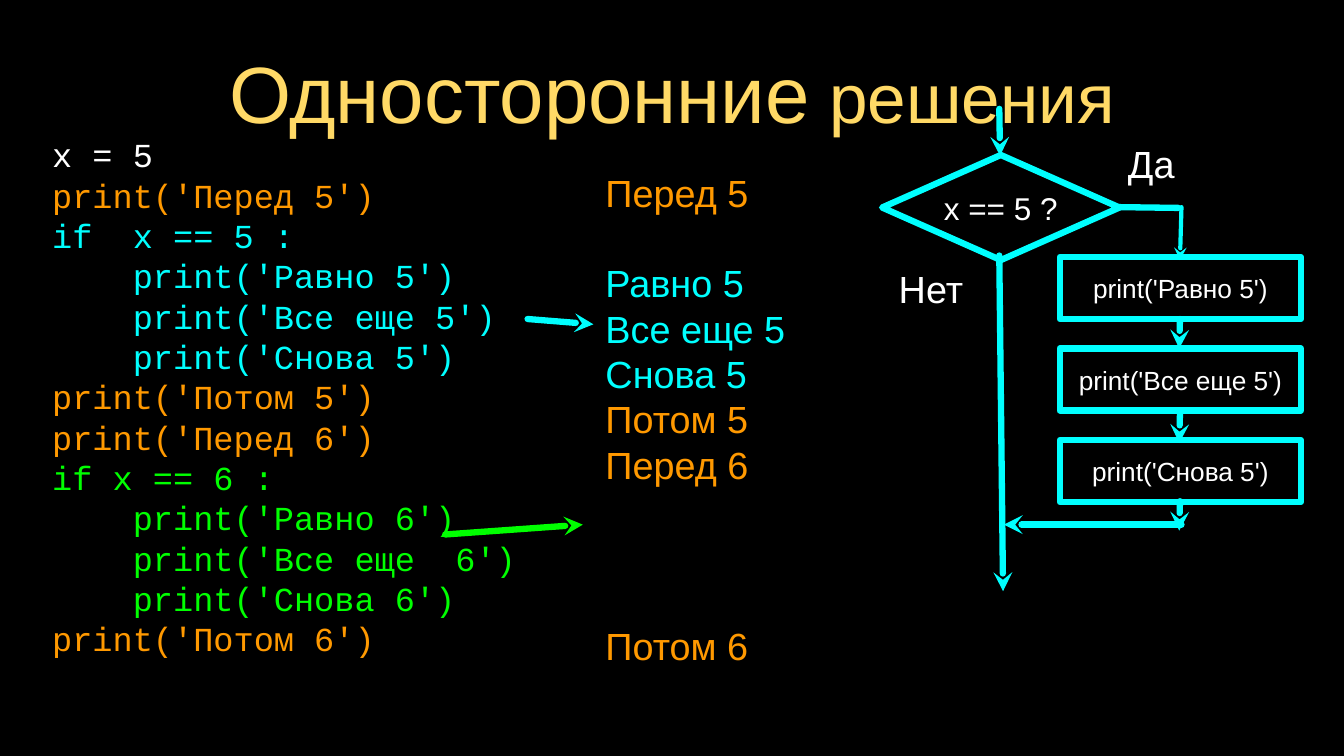
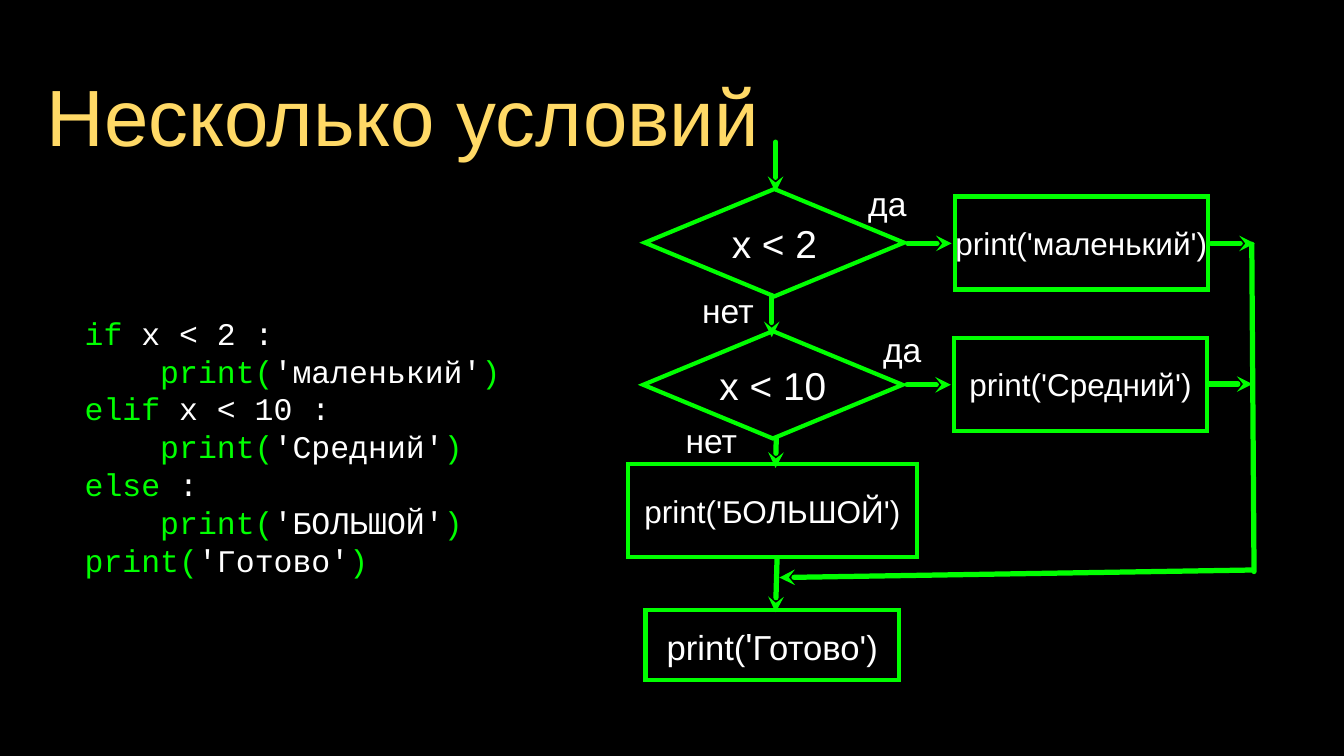
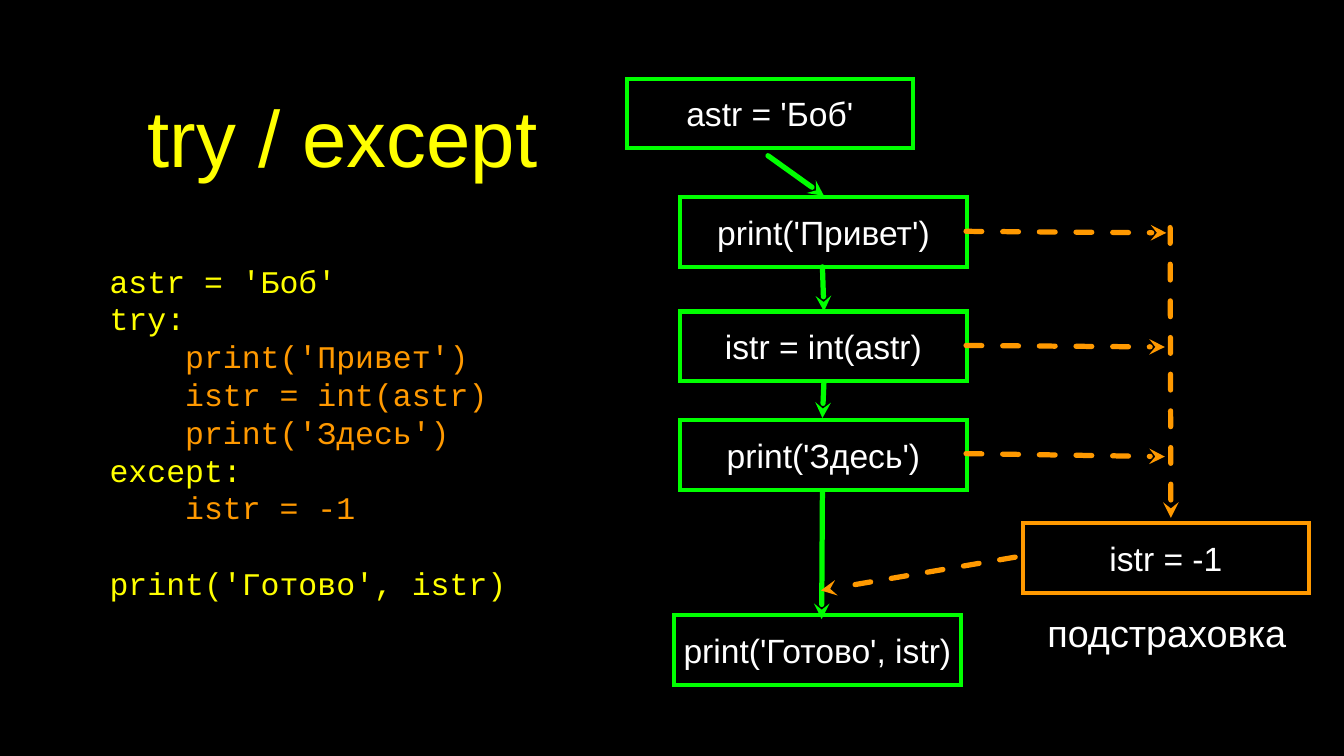
from dataclasses import dataclass
from typing import NamedTuple, Optional, Union

from lxml import etree
from pptx import Presentation
from pptx import util as u
from pptx.dml.color import RGBColor
from pptx.enum import dml, shapes, text
from pptx.oxml.ns import qn

BLACK = RGBColor(0x00, 0x00, 0x00)
WHITE = RGBColor(0xFF, 0xFF, 0xFF)
GOLD = RGBColor(0xFF, 0xD9, 0x66)
YELLOW = RGBColor(0xFF, 0xFF, 0x00)
ORANGE = RGBColor(0xFF, 0x99, 0x00)
CYAN = RGBColor(0x00, 0xFF, 0xFF)
GREEN = RGBColor(0x00, 0xFF, 0x00)

SANS, MONO = "Arial", "Courier New"
TITLE_SIZE = 76
LEADING = 1.2
RECT = shapes.MSO_SHAPE.RECTANGLE
DIAMOND = shapes.MSO_SHAPE.DIAMOND


class Area(NamedTuple):
    """Left, top, width and height in inches."""
    left: float
    top: float
    width: float
    height: float


class Run(NamedTuple):
    text: str
    color: Optional[RGBColor] = None
    size: Optional[float] = None


@dataclass(frozen=True)
class Row:
    """A paragraph; gap is the number of empty lines above it."""
    content: Union[str, tuple[Run, ...]]
    color: RGBColor = WHITE
    gap: int = 0


@dataclass(frozen=True)
class Step:
    """A block of a flowchart."""
    area: Area
    row: Row
    size: float
    outline: RGBColor
    weight: float = 4
    form: shapes.MSO_SHAPE = RECT
    join: str = "miter"


@dataclass(frozen=True)
class Label:
    area: Area
    caption: str
    size: float = 36


@dataclass(frozen=True)
class Link:
    """A line of a flowchart; the arrowhead is at the end."""
    start: tuple[float, float]
    end: tuple[float, float]
    color: RGBColor
    weight: float = 5
    arrow: bool = True
    dashed: bool = False


def inches(value: float) -> u.Length:
    return u.Cm(value * 2.54)


def place(shape, area: Area) -> None:
    shape.left, shape.top, shape.width, shape.height = map(inches, area)


def write(frame, rows: list[Row], font: str, size: float,
          align=text.PP_ALIGN.LEFT, leading: Optional[float] = None,
          inset: float = 0, wrap: bool = True) -> None:
    frame.word_wrap = wrap
    frame.vertical_anchor = text.MSO_ANCHOR.MIDDLE
    frame.margin_left = frame.margin_right = inches(inset)
    frame.margin_top = frame.margin_bottom = inches(inset)
    for index, row in enumerate(rows):
        paragraph = frame.paragraphs[0] if index == 0 else frame.add_paragraph()
        paragraph.alignment = align
        paragraph.font.name, paragraph.font.size = font, u.Pt(size)
        paragraph.font.color.rgb = row.color
        if leading:
            paragraph.line_spacing = u.Pt(size * leading)
            paragraph.space_before = u.Pt(size * leading * row.gap)
        parts = (Run(row.content),) if isinstance(row.content, str) else row.content
        for part in parts:
            run = paragraph.add_run()
            run.text = part.text
            if part.color is not None:
                run.font.color.rgb = part.color
            if part.size:
                run.font.size = u.Pt(part.size)


def add_titled_slide(deck, area: Area, title: Row):
    slide = deck.slides.add_slide(deck.slide_layouts[5])
    place(slide.shapes.title, area)
    write(slide.shapes.title.text_frame, [title], SANS, TITLE_SIZE,
          text.PP_ALIGN.CENTER, inset=0.04)
    return slide


def add_listing(slide, area: Area, rows: list[Row], size: float, font: str = MONO) -> None:
    listing = slide.shapes.add_textbox(*map(inches, area))
    write(listing.text_frame, rows, font, size, leading=LEADING)


def add_step(slide, step: Step) -> None:
    block = slide.shapes.add_shape(step.form, *map(inches, step.area))
    block.shadow.inherit = False
    block.fill.background()
    block.line.color.rgb = step.outline
    block.line.width = u.Pt(step.weight)
    join = etree.SubElement(block.line._get_or_add_ln(), qn(f"a:{step.join}"))
    if step.join == "miter":
        join.set("lim", "800000")
    write(block.text_frame, [step.row], SANS, step.size, text.PP_ALIGN.CENTER, wrap=False)


def add_label(slide, label: Label) -> None:
    box = slide.shapes.add_textbox(*map(inches, label.area))
    write(box.text_frame, [Row(label.caption)], SANS, label.size, text.PP_ALIGN.CENTER)


def add_link(slide, link: Link) -> None:
    connector = slide.shapes.add_connector(
        shapes.MSO_CONNECTOR.STRAIGHT, *map(inches, link.start + link.end))
    connector.line.color.rgb = link.color
    connector.line.width = u.Pt(link.weight)
    if link.dashed:
        connector.line.dash_style = dml.MSO_LINE.DASH
    ln = connector.line._get_or_add_ln()
    ln.set("cap", "rnd")
    etree.SubElement(ln, qn("a:round"))
    if link.arrow:
        etree.SubElement(ln, qn("a:tailEnd"), type="stealth")
    etree.SubElement(connector._element.spPr, qn("a:effectLst"))


def add_flowchart(slide, steps: list[Step], links: list[Link], labels: list[Label]) -> None:
    for step in steps:
        add_step(slide, step)
    for link in links:
        add_link(slide, link)
    for label in labels:
        add_label(slide, label)


def one_way_decisions(deck) -> None:
    slide = add_titled_slide(deck, Area(2.6, 0.62, 12.58, 1.17), Row(
        (Run("Односторонние"), Run(" решения", size=66)), GOLD))
    add_listing(slide, Area(0.69, 1.69, 6.25, 7.11), [
        Row("x = 5"),
        Row("print('Перед 5')", ORANGE),
        Row("if  x == 5 :", CYAN),
        Row("    print('Равно 5')", CYAN),
        Row("    print('Все еще 5')", CYAN),
        Row("    print('Снова 5')", CYAN),
        Row("print('Потом 5')", ORANGE),
        Row("print('Перед 6')", ORANGE),
        Row("if x == 6 :", GREEN),
        Row("    print('Равно 6')", GREEN),
        Row("    print('Все еще  6')", GREEN),
        Row("    print('Снова 6')", GREEN),
        Row("print('Потом 6')", ORANGE),
    ], 32)
    add_listing(slide, Area(8.01, 2.28, 3.09, 6.52), [
        Row("Перед 5", ORANGE),
        Row("Равно 5", CYAN, gap=1),
        Row("Все еще 5", CYAN),
        Row("Снова 5", CYAN),
        Row("Потом 5", ORANGE),
        Row("Перед 6", ORANGE),
        Row("Потом 6", ORANGE, gap=3),
    ], 36, SANS)

    steps = [Step(Area(11.67, 2.05, 3.14, 1.39), Row("x == 5 ?"), 30, CYAN, 6,
                  DIAMOND, "round")]
    for index, word in enumerate(("Равно", "Все еще", "Снова")):
        steps.append(Step(Area(14.02, 3.4 + 1.21 * index, 3.19, 0.82),
                          Row(f"print('{word} 5')"), 25, CYAN, 6, join="round"))
    links = [
        Link((6.98, 4.22), (7.85, 4.29), CYAN, 6),
        Link((5.89, 7.07), (7.71, 6.94), GREEN, 6),
        Link((13.22, 1.44), (13.23, 2.06), CYAN, 6),
        Link((13.22, 3.38), (13.27, 7.82), CYAN, 6),
        Link((14.8, 2.74), (15.59, 2.75), CYAN, 6, arrow=False),
        Link((15.63, 2.74), (15.61, 3.44), CYAN, 4),
        Link((15.63, 6.94), (13.28, 6.94), CYAN, 6),
    ]
    links += [Link((15.61, top), (15.6, top + 0.39), CYAN, 6) for top in (4.22, 5.47, 6.63)]
    add_flowchart(slide, steps, links, [
        Label(Area(14.62, 1.82, 1.22, 0.68), "Да"),
        Label(Area(11.82, 3.47, 0.99, 0.68), "Нет"),
    ])


def print_row(word: str) -> Row:
    """An indented print call with its argument in white."""
    return Row((Run("    print("), Run(f"'{word}'", WHITE), Run(")")), GREEN)


def multiway_decisions(deck) -> None:
    slide = add_titled_slide(deck, Area(0.45, 0.54, 9.76, 1.96),
                             Row("Несколько условий", GOLD))
    add_listing(slide, Area(1.12, 3.46, 5.58, 4.88), [
        Row((Run("if "), Run("x < 2 :", WHITE)), GREEN),
        print_row("маленький"),
        Row((Run("elif"), Run(" x < 10 :", WHITE)), GREEN),
        print_row("Средний"),
        Row((Run("else"), Run(" :", WHITE)), GREEN),
        print_row("БОЛЬШОЙ"),
        Row((Run("print("), Run("'Готово'", WHITE), Run(")")), GREEN),
    ], 30)

    ready = Row((Run("print("), Run("'", size=36), Run("Готово')")))
    add_flowchart(slide, [
        Step(Area(8.53, 2.5, 3.43, 1.42), Row("x < 2"), 37, GREEN, form=DIAMOND),
        Step(Area(8.51, 4.38, 3.43, 1.42), Row("x < 10"), 37, GREEN, form=DIAMOND),
        Step(Area(12.63, 2.6, 3.35, 1.23), Row("print('маленький')"), 30, GREEN),
        Step(Area(12.62, 4.47, 3.35, 1.23), Row("print('Средний')"), 30, GREEN),
        Step(Area(8.31, 6.14, 3.82, 1.23), Row("print('БОЛЬШОЙ')"), 30, GREEN),
        Step(Area(8.54, 8.07, 3.35, 0.93), ready, 33, GREEN),
    ], [
        Link((10.26, 1.88), (10.26, 2.54), GREEN),
        Link((10.21, 3.91), (10.21, 4.46), GREEN),
        Link((10.27, 5.79), (10.26, 6.19), GREEN),
        Link((10.28, 7.38), (10.26, 8.1), GREEN),
        Link((12.01, 3.22), (12.59, 3.22), GREEN),
        Link((12, 5.09), (12.58, 5.09), GREEN),
        Link((16.02, 3.22), (16.6, 3.22), GREEN),
        Link((15.99, 5.08), (16.57, 5.08), GREEN),
        Link((16.56, 3.23), (16.59, 7.56), GREEN, arrow=False),
        Link((16.57, 7.54), (10.31, 7.64), GREEN),
    ], [
        Label(Area(11.36, 2.41, 0.76, 0.54), "да", 32),
        Label(Area(9.27, 3.83, 0.72, 0.54), "нет", 32),
        Label(Area(11.51, 4.35, 0.85, 0.54), "да", 32),
        Label(Area(9.02, 5.55, 0.78, 0.54), "нет", 32),
    ])


def try_except(deck) -> None:
    slide = add_titled_slide(deck, Area(1.26, 0.82, 6.54, 1.96),
                             Row("try / except", YELLOW))
    add_listing(slide, Area(1.45, 3.11, 5.66, 5.2), [
        Row("astr = 'Боб'", YELLOW),
        Row("try:", YELLOW),
        Row("    print('Привет')", ORANGE),
        Row("    istr = int(astr)", ORANGE),
        Row("    print('Здесь')", ORANGE),
        Row("except:", YELLOW),
        Row("    istr = -1", ORANGE),
        Row("print('Готово', istr)", YELLOW, gap=1),
    ], 30)

    steps = [
        Step(Area(left, top, 3.79, 0.92), Row(code), 32, outline)
        for left, top, code, outline in (
            (8.29, 1.04, "astr = 'Боб'", GREEN),
            (9, 2.61, "print('Привет')", GREEN),
            (9, 4.12, "istr = int(astr)", GREEN),
            (9, 5.56, "print('Здесь')", GREEN),
            (8.92, 8.14, "print('Готово', istr)", GREEN),
            (13.53, 6.92, "istr = -1", ORANGE),
        )
    ]
    normal_flow = [
        Link((10.16, 2.06), (10.9, 2.59), GREEN),
        Link((10.88, 3.53), (10.9, 4.12), GREEN),
        Link((10.9, 5.05), (10.88, 5.53), GREEN),
        Link((10.88, 6.5), (10.87, 8.19), GREEN),
    ]
    error_flow = [
        Link(start, end, ORANGE, dashed=True)
        for start, end in (
            ((12.78, 3.06), (15.43, 3.08)),
            ((12.78, 4.57), (15.41, 4.59)),
            ((12.78, 6), (15.41, 6.04)),
            ((15.48, 3.01), (15.49, 6.85)),
            ((13.43, 7.37), (10.86, 7.81)),
        )
    ]
    add_flowchart(slide, steps, normal_flow + error_flow,
                  [Label(Area(13.74, 8.03, 3.39, 0.68), "подстраховка")])


def main() -> None:
    deck = Presentation()
    deck.slide_width, deck.slide_height = inches(17.78), inches(10)
    backdrop = deck.slide_master.background.fill
    backdrop.solid()
    backdrop.fore_color.rgb = BLACK
    one_way_decisions(deck)
    multiway_decisions(deck)
    try_except(deck)
    deck.save("out.pptx")


if __name__ == "__main__":
    main()
